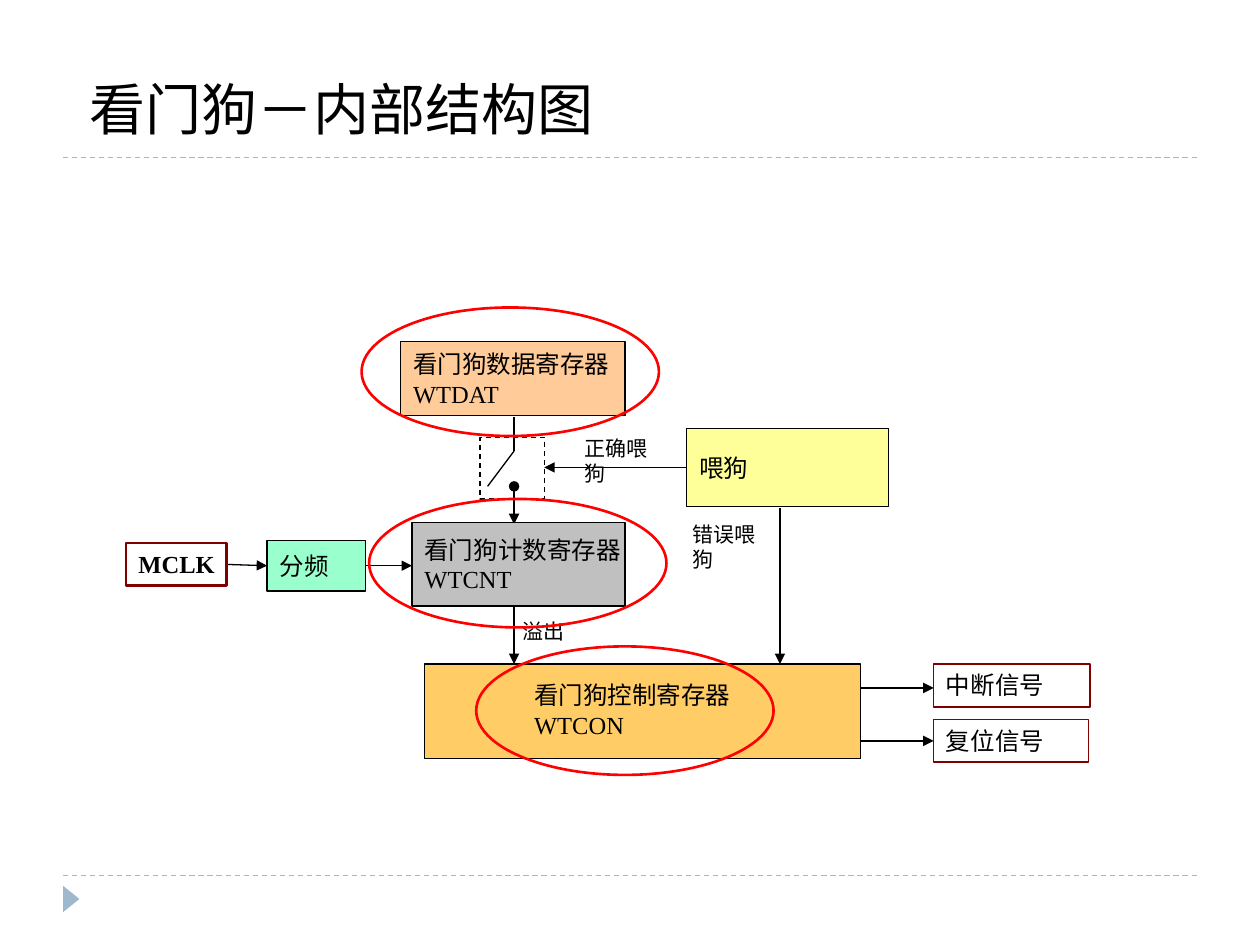
from typing import NamedTuple, Optional

from lxml.etree import SubElement
from pptx import Presentation
from pptx.dml.color import RGBColor
from pptx.enum.dml import MSO_LINE_DASH_STYLE as Dash
from pptx.enum.shapes import MSO_CONNECTOR as Connector
from pptx.enum.shapes import MSO_SHAPE as Preset
from pptx.enum.text import MSO_ANCHOR as Anchor
from pptx.enum.text import PP_ALIGN as Align
from pptx.oxml.ns import qn
from pptx.util import Inches, Pt

BLACK = RGBColor(0x00, 0x00, 0x00)
RED = RGBColor(0xFF, 0x00, 0x00)
MAROON = RGBColor(0x80, 0x00, 0x00)
STEEL = RGBColor(0x9F, 0xB8, 0xCD)
MINT = RGBColor(0x99, 0xFF, 0xCC)
YELLOW = RGBColor(0xFF, 0xFF, 0x99)
PEACH = RGBColor(0xFF, 0xCC, 0x99)
GREY = RGBColor(0xC0, 0xC0, 0xC0)
ORANGE = RGBColor(0xFF, 0xCC, 0x66)


class Block(NamedTuple):
    left: float
    top: float
    width: float
    height: float
    text: str = ""
    fill: Optional[RGBColor] = None
    line: Optional[RGBColor] = BLACK
    weight: float = 0.75
    dash: Optional[Dash] = None
    preset: Preset = Preset.RECTANGLE
    anchor: Anchor = Anchor.MIDDLE
    wrap: bool = False
    bold: bool = False


class Wire(NamedTuple):
    x1: float
    y1: float
    x2: float
    y2: float
    head: Optional[str] = None
    tail: Optional[str] = "triangle"
    color: RGBColor = BLACK
    dash: Optional[Dash] = None


class Label(NamedTuple):
    left: float
    top: float
    width: float
    height: float
    text: str
    size: float = 12
    font: str = "Times New Roman"
    anchor: Anchor = Anchor.TOP


RULES = [Wire(0.5, y, 9.5, y, tail=None, color=STEEL, dash=Dash.DASH)
         for y in (6.95, 1.25)]

WIRES = [
    Wire(6.52, 5.46, 7.41, 5.46),  # control register to interrupt
    Wire(6.54, 5.88, 7.41, 5.88),  # control register to reset
    Wire(4.08, 3.86, 4.08, 4.16, head="oval"),  # switch contact
    Wire(4.08, 3.31, 4.08, 3.58, tail=None),
    Wire(4.08, 3.58, 3.87, 3.86, tail=None),  # switch arm
    Wire(5.45, 3.71, 4.32, 3.71),  # correct feeding
    Wire(6.19, 4.03, 6.19, 5.27),  # wrong feeding
    Wire(4.08, 4.82, 4.08, 5.27),  # overflow
    Wire(2.9, 4.49, 3.27, 4.49),
    Wire(1.81, 4.48, 2.12, 4.49),
]

BLOCKS = [
    Block(7.41, 5.27, 1.24, 0.34, "中断信号", line=MAROON, weight=1,
          anchor=Anchor.TOP, wrap=True),
    Block(7.41, 5.71, 1.23, 0.34, "复位信号", line=MAROON, weight=1,
          anchor=Anchor.TOP, wrap=True),
    Block(2.12, 4.29, 0.78, 0.4, "分频", MINT),
    Block(5.45, 3.4, 1.6, 0.62, "喂狗", YELLOW),
    Block(1, 4.31, 0.8, 0.34, "MCLK", line=MAROON, weight=1.5,
          anchor=Anchor.TOP, bold=True),
    Block(3.18, 2.71, 1.78, 0.59, "看门狗数据寄存器\nWTDAT", PEACH),
    Block(3.81, 3.47, 0.51, 0.49, dash=Dash.DASH),
    Block(3.27, 4.15, 1.69, 0.66, "看门狗计数寄存器\nWTCNT", GREY),
    Block(3.37, 5.27, 3.46, 0.75, fill=ORANGE),
]

LABELS = [
    Label(4.14, 5.35, 1.94, 0.57, "看门狗控制寄存器\nWTCON", size=14),
    Label(4.54, 3.41, 0.86, 0.3, "正确喂狗"),
    Label(5.4, 4.09, 0.86, 0.3, "错误喂狗"),
    Label(4.05, 4.86, 0.53, 0.3, "溢出"),
    Label(0.61, 0.52, 8.5, 0.67, "看门狗－内部结构图", 32, "Cabin", Anchor.MIDDLE),
]

HIGHLIGHTS = [Block(left, top, 2.36, 1.02, line=RED, weight=1.5, preset=Preset.OVAL)
              for left, top in ((2.87, 2.44), (3.78, 5.13), (2.93, 3.96))]


def write_text(box, text: str, *, size: float = 14, font: str = "Times New Roman",
               anchor: Anchor = Anchor.MIDDLE, wrap: bool = False,
               bold: bool = False) -> None:
    frame = box.text_frame
    frame.word_wrap = wrap
    frame.vertical_anchor = anchor
    frame.text = text
    for para in frame.paragraphs:
        para.alignment = Align.LEFT
        for span in para.runs:
            span.font.size = Pt(size)
            span.font.name = font
            span.font.bold = bold
            span.font.color.rgb = BLACK


def draw_block(page, block: Block):
    shape = page.shapes.add_shape(
        block.preset, Inches(block.left), Inches(block.top),
        Inches(block.width), Inches(block.height))
    shape.shadow.inherit = False
    if block.fill is None:
        shape.fill.background()
    else:
        shape.fill.solid()
        shape.fill.fore_color.rgb = block.fill
    if block.line is None:
        shape.line.fill.background()
    else:
        shape.line.color.rgb = block.line
        shape.line.width = Pt(block.weight)
    if block.dash is not None:
        shape.line.dash_style = block.dash
    if block.text:
        write_text(shape, block.text, anchor=block.anchor,
                   wrap=block.wrap, bold=block.bold)
    return shape


def draw_wire(page, wire: Wire) -> None:
    link = page.shapes.add_connector(
        Connector.STRAIGHT, Inches(wire.x1), Inches(wire.y1),
        Inches(wire.x2), Inches(wire.y2))
    link.line.color.rgb = wire.color
    link.line.width = Pt(0.75)
    if wire.dash is not None:
        link.line.dash_style = wire.dash
    properties = link._element.spPr
    outline = properties.find(qn("a:ln"))
    for tag, kind in (("a:headEnd", wire.head), ("a:tailEnd", wire.tail)):
        if kind:
            SubElement(outline, qn(tag), type=kind)
    SubElement(properties, qn("a:effectLst"))


def draw_label(page, label: Label) -> None:
    box = page.shapes.add_textbox(
        Inches(label.left), Inches(label.top),
        Inches(label.width), Inches(label.height))
    write_text(box, label.text, size=label.size, font=label.font,
               anchor=label.anchor, wrap=label.size > 12)


def main() -> None:
    deck = Presentation()
    deck.slide_width, deck.slide_height = Inches(10), Inches(7.5)
    page = deck.slides.add_slide(deck.slide_layouts[6])

    # Page frame: dashed rules and corner marker
    for rule in RULES:
        draw_wire(page, rule)
    marker = draw_block(page, Block(0.46, 7.07, 0.21, 0.13, fill=STEEL, line=None,
                                    preset=Preset.ISOSCELES_TRIANGLE))
    marker.rotation = 90

    # Watchdog diagram, wires beneath the blocks
    for wire in WIRES:
        draw_wire(page, wire)
    for block in BLOCKS:
        draw_block(page, block)
    for label in LABELS:
        draw_label(page, label)

    # Red rings around the three registers
    for ring in HIGHLIGHTS:
        draw_block(page, ring)

    deck.save("out.pptx")


if __name__ == "__main__":
    main()
